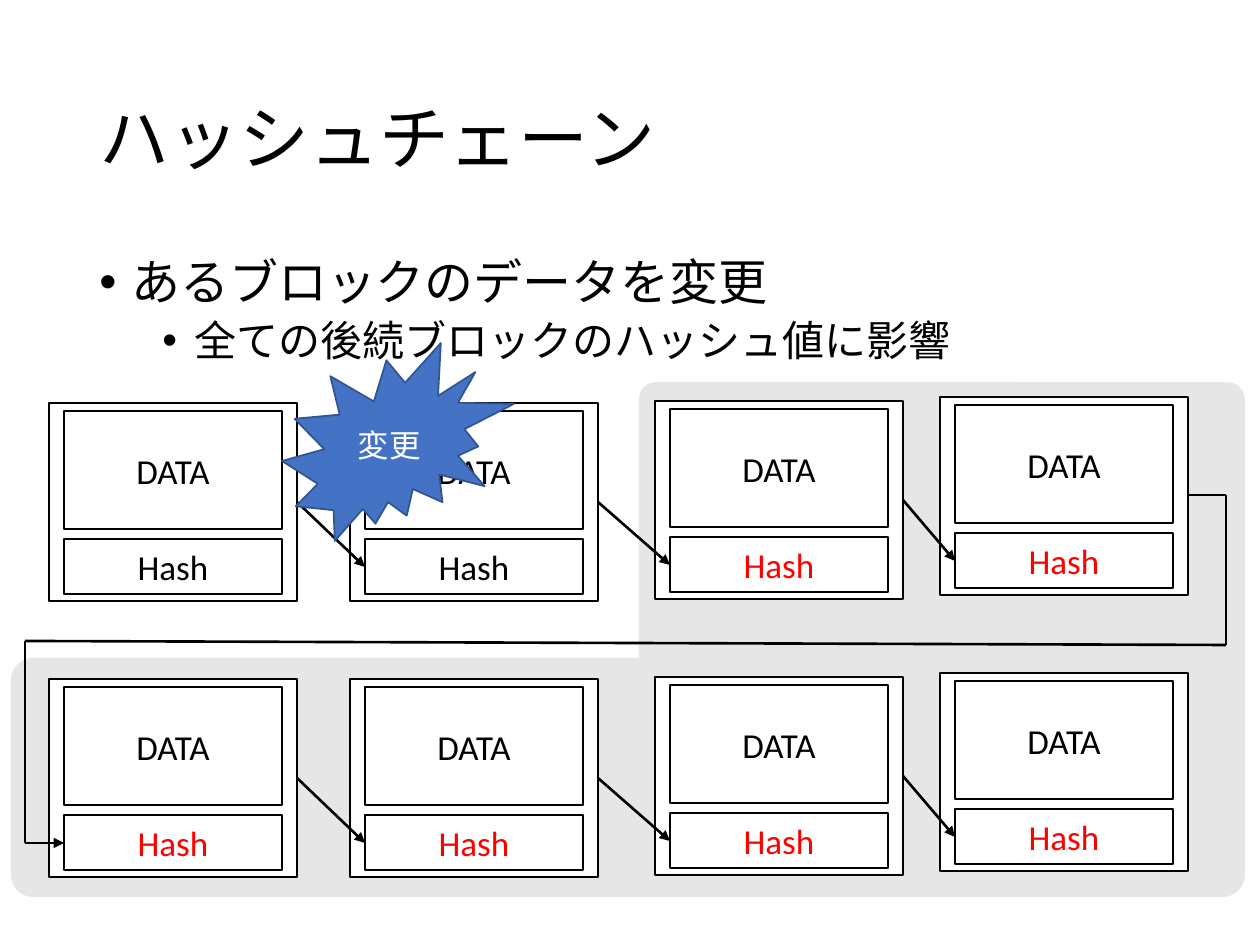
from dataclasses import dataclass
from itertools import pairwise

from lxml import etree
from pptx import Presentation
from pptx.dml.color import RGBColor
from pptx.enum.shapes import MSO_CONNECTOR, MSO_SHAPE
from pptx.enum.text import MSO_ANCHOR, PP_ALIGN
from pptx.oxml.ns import qn
from pptx.util import Emu, Pt

RECT = MSO_SHAPE.RECTANGLE
ROUNDED = MSO_SHAPE.ROUNDED_RECTANGLE
BURST = MSO_SHAPE.EXPLOSION2
STRAIGHT = MSO_CONNECTOR.STRAIGHT
MIDDLE = MSO_ANCHOR.MIDDLE
TOP = MSO_ANCHOR.TOP
CENTER = PP_ALIGN.CENTER

EMU_PER_PX = 914400 / 126


def px(length):
    return Emu(round(length * EMU_PER_PX))


@dataclass(frozen=True)
class Theme:
    font: str = "Calibri"
    ink: str = "000000"
    paper: str = "FFFFFF"
    affected: str = "FF0000"
    zone: str = "E7E6E6"
    accent: str = "4472C4"
    accent_edge: str = "325491"
    title_size: int = 40
    bullet_size: int = 28
    sub_bullet_size: int = 24
    block_size: int = 20
    burst_size: int = 18


class SlideBuilder:
    def __init__(self, slide, theme):
        self.slide = slide
        self.theme = theme

    def style(self, paragraph, size, color):
        for run in paragraph.runs:
            run.font.name = self.theme.font
            run.font.size = Pt(size)
            run.font.color.rgb = RGBColor.from_string(color)

    def shape(self, box, kind=RECT, fill=None, edge=None, weight=1, parent=None):
        shapes = (parent or self.slide).shapes
        shape = shapes.add_shape(kind, *map(px, box))
        shape.shadow.inherit = False
        if fill:
            shape.fill.solid()
            shape.fill.fore_color.rgb = RGBColor.from_string(fill)
        else:
            shape.fill.background()
        if edge:
            shape.line.color.rgb = RGBColor.from_string(edge)
            shape.line.width = Pt(weight)
        else:
            shape.line.fill.background()
        return shape

    def label(self, shape, text, size, color):
        frame = shape.text_frame
        frame.text = text
        frame.vertical_anchor = MIDDLE
        frame.paragraphs[0].alignment = CENTER
        self.style(frame.paragraphs[0], size, color)

    def zone(self, box, rounding):
        self.shape(box, ROUNDED, self.theme.zone).adjustments[0] = rounding

    def text_frame(self, box, anchor):
        frame = self.slide.shapes.add_textbox(*map(px, box)).text_frame
        frame.word_wrap = True
        frame.vertical_anchor = anchor
        return frame

    def title(self, box, text):
        frame = self.text_frame(box, MIDDLE)
        frame.text = text
        heading = frame.paragraphs[0]
        heading.line_spacing = 0.9
        self.style(heading, self.theme.title_size, self.theme.ink)

    def bullets(self, box, items):
        frame = self.text_frame(box, TOP)
        frame.text = "\n".join(text for text, *_ in items)
        for paragraph, (_, level, size, before) in zip(frame.paragraphs, items):
            paragraph.level = level
            paragraph.line_spacing = 0.9
            paragraph.space_before = Pt(before)
            properties = paragraph._p.get_or_add_pPr()
            properties.set("marL", str(px(32 + 63 * level)))
            properties.set("indent", str(-px(32)))
            etree.SubElement(properties, qn("a:buFont"), typeface="Arial")
            etree.SubElement(properties, qn("a:buChar"), char="•")
            self.style(paragraph, size, self.theme.ink)

    def block(self, left, top, hash_color):
        theme = self.theme
        group = self.slide.shapes.add_group_shape()
        self.shape((left, top, 248, 198), fill=theme.paper, edge=theme.ink, parent=group)
        digest = self.shape((left + 15, top + 136, 218, 55), edge=theme.ink,
                            weight=0.75, parent=group)
        self.label(digest, "Hash", theme.block_size, hash_color)
        data = self.shape((left + 15, top + 8, 218, 118), edge=theme.ink, parent=group)
        self.label(data, "DATA", theme.block_size, theme.ink)

    def line(self, start, end, arrow=False):
        connector = self.slide.shapes.add_connector(STRAIGHT, *map(px, (*start, *end)))
        connector.line.color.rgb = RGBColor.from_string(self.theme.ink)
        connector.line.width = Pt(1.5)
        if arrow:
            etree.SubElement(connector.line._get_or_add_ln(), qn("a:tailEnd"), type="triangle")
        etree.SubElement(connector._element.spPr, qn("a:effectLst"))

    def burst(self, box, text):
        theme = self.theme
        burst = self.shape(box, BURST, theme.accent, theme.accent_edge)
        self.label(burst, text, theme.burst_size, theme.paper)


def main():
    theme = Theme()
    deck = Presentation()
    deck.slide_width, deck.slide_height = px(1260), px(945)
    builder = SlideBuilder(deck.slides.add_slide(deck.slide_layouts[6]), theme)

    builder.zone((639, 382, 606, 496), 0.035)
    builder.zone((11, 658, 1234, 239), 0.093)
    builder.title((87, 50, 1086, 183), "ハッシュチェーン")
    builder.bullets((87, 252, 1086, 125), [
        ("あるブロックのデータを変更", 0, theme.bullet_size, 0),
        ("全ての後続ブロックのハッシュ値に影響", 1, theme.sub_bullet_size, 5),
    ])

    first_row = [(49, 403), (350, 403), (655, 401), (940, 397)]
    second_row = [(left, top + 276) for left, top in first_row]
    for position, (left, top) in enumerate(first_row + second_row):
        builder.block(left, top, theme.ink if position < 2 else theme.affected)

    for row in (first_row, second_row):
        for (left, top), (next_left, next_top) in pairwise(row):
            builder.line((left + 248, top + 99), (next_left + 15, next_top + 164), arrow=True)

    row_link = [(1188, 495), (1226, 495), (1226, 645), (25, 641), (25, 843), (64, 843)]
    for start, end in pairwise(row_link):
        builder.line(start, end, arrow=end == row_link[-1])

    builder.burst((282, 343, 232, 198), "変更")
    deck.save("out.pptx")


if __name__ == "__main__":
    main()
